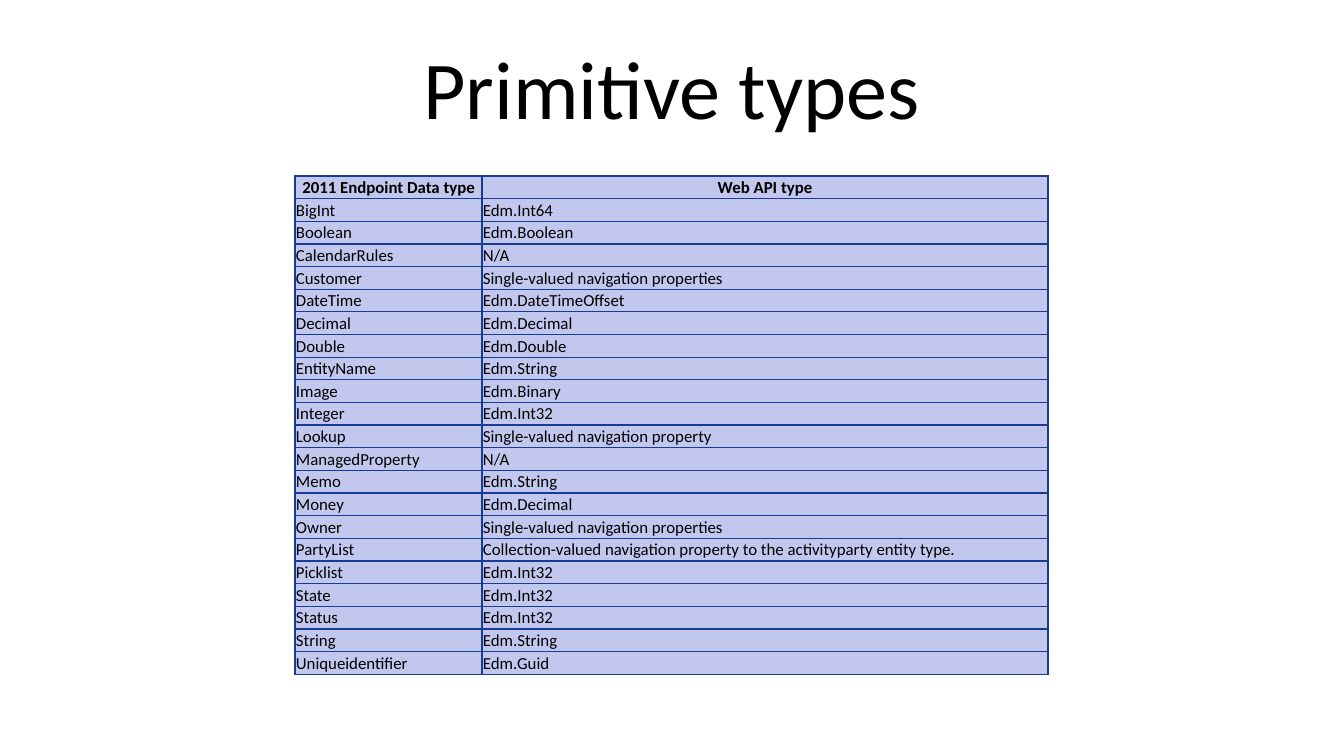
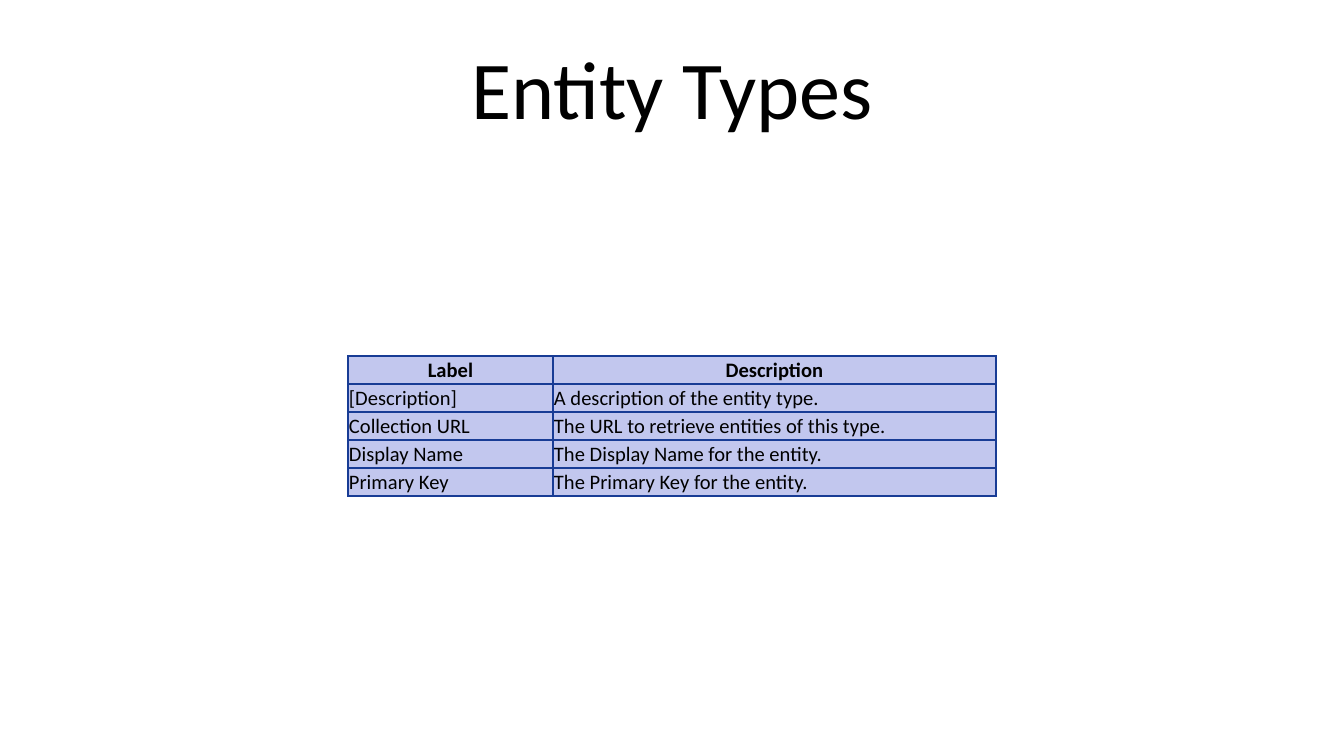
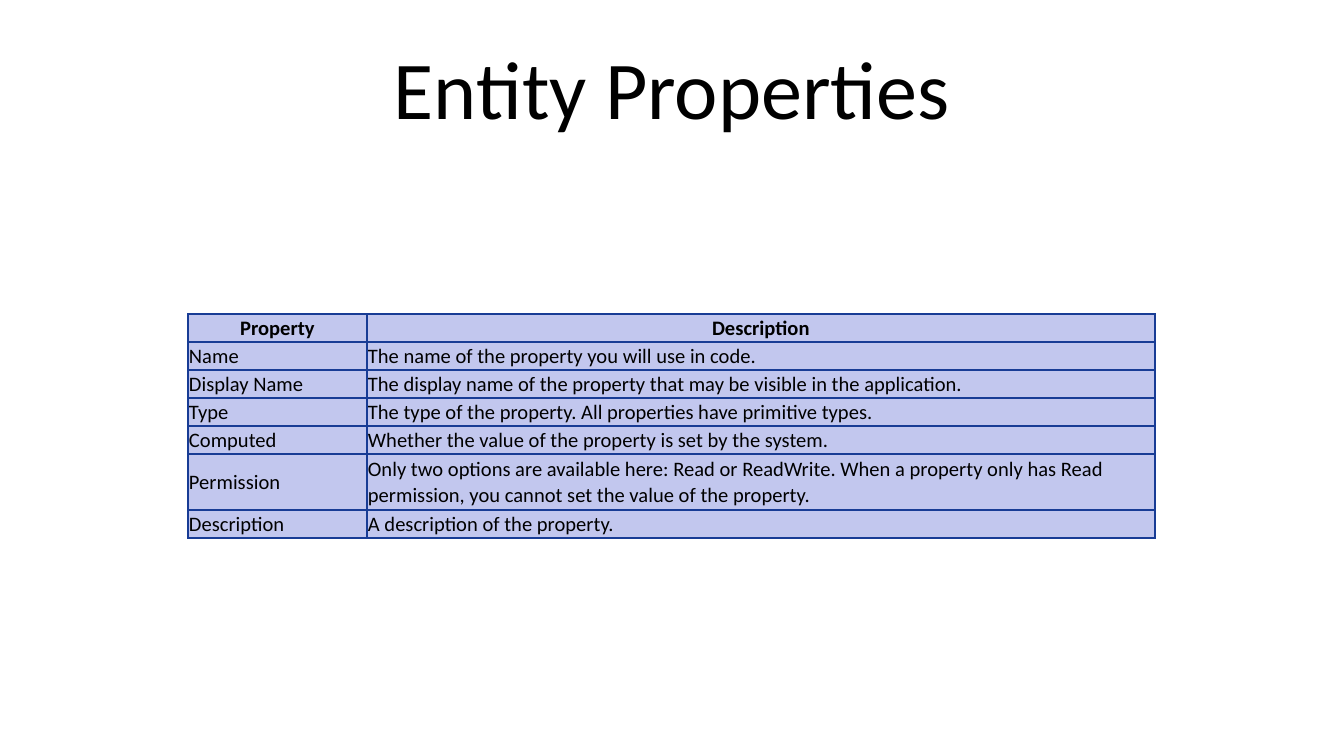
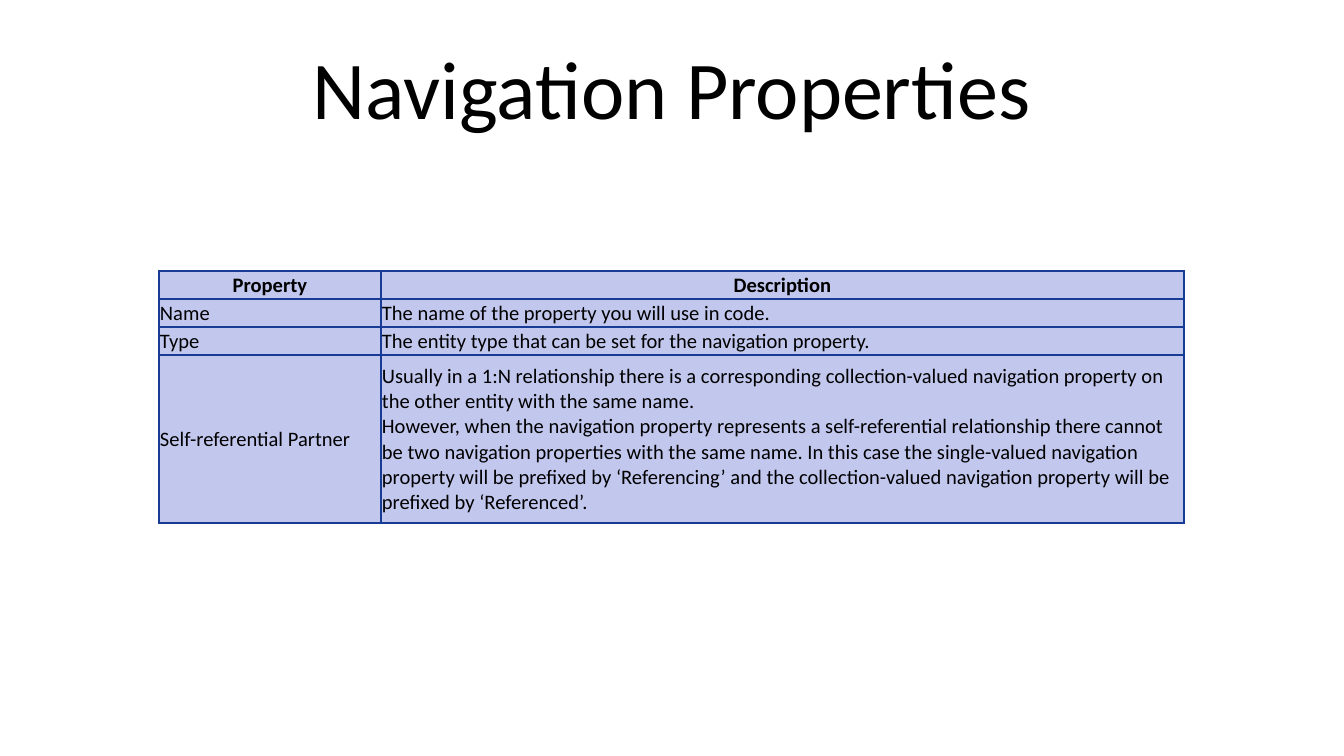
from lxml.etree import SubElement as Sub
from pptx import Presentation
from pptx.dml.color import RGBColor
from pptx.enum.text import MSO_ANCHOR as Anchor, PP_ALIGN as Align
from pptx.oxml.ns import qn
from pptx.util import Pt

SCALE = 914400 / 134.4
WIDE, HIGH = 1344, 756
FONT = "Calibri"
INK = RGBColor(0x00, 0x00, 0x00)
FILL = RGBColor(0xC2, 0xC7, 0xEE)
EDGE = RGBColor(0x18, 0x3C, 0x95)
TITLE_BOX = (67, 24, 1210, 126)

TYPES = [
    ("2011 Endpoint Data type", "Web API type"),
    ("BigInt", "Edm.Int64"),
    ("Boolean", "Edm.Boolean"),
    ("CalendarRules", "N/A"),
    ("Customer", "Single-valued navigation properties"),
    ("DateTime", "Edm.DateTimeOffset"),
    ("Decimal", "Edm.Decimal"),
    ("Double", "Edm.Double"),
    ("EntityName", "Edm.String"),
    ("Image", "Edm.Binary"),
    ("Integer", "Edm.Int32"),
    ("Lookup", "Single-valued navigation property"),
    ("ManagedProperty", "N/A"),
    ("Memo", "Edm.String"),
    ("Money", "Edm.Decimal"),
    ("Owner", "Single-valued navigation properties"),
    ("PartyList", "Collection-valued navigation property to the "
                  "activityparty entity type."),
    ("Picklist", "Edm.Int32"),
    ("State", "Edm.Int32"),
    ("Status", "Edm.Int32"),
    ("String", "Edm.String"),
    ("Uniqueidentifier", "Edm.Guid"),
]
LABELS = [
    ("Label", "Description"),
    ("[Description]", "A description of the entity type."),
    ("Collection URL", "The URL to retrieve entities of this type."),
    ("Display Name", "The Display Name for the entity."),
    ("Primary Key", "The Primary Key for the entity."),
]
HEAD = ("Property", "Description")
NAME = ("Name", "The name of the property you will use in code.")
PROPS = [
    HEAD,
    NAME,
    ("Display Name", "The display name of the property that may be visible "
                     "in the application."),
    ("Type", "The type of the property. All properties have primitive types."),
    ("Computed", "Whether the value of the property is set by the system."),
    ("Permission", "Only two options are available here: Read or ReadWrite. "
                   "When a property only has Read permission, you cannot set "
                   "the value of the property."),
    ("Description", "A description of the property."),
]
LINKS = [
    HEAD,
    NAME,
    ("Type", "The entity type that can be set for the navigation property."),
    ("Self-referential Partner",
     "Usually in a 1:N relationship there is a corresponding "
     "collection-valued navigation property on the other entity with the "
     "same name.\n"
     "However, when the navigation property represents a self-referential "
     "relationship there cannot be two navigation properties with the same "
     "name. In this case the single-valued navigation property will be "
     "prefixed by ‘Referencing’ and the collection-valued navigation "
     "property will be prefixed by ‘Referenced’."),
]


def px(n):
    return round(n * SCALE)


def style(par, size, bold, align):
    par.alignment = align
    for run in par.runs:
        font = run.font
        font.name, font.size, font.bold = FONT, Pt(size), bold
        font.color.rgb = INK


def add_title(slide, text):
    title = slide.shapes.title
    title.left, title.top, title.width, title.height = map(px, TITLE_BOX)
    frame = title.text_frame
    frame.text = text
    frame.vertical_anchor = Anchor.MIDDLE
    style(frame.paragraphs[0], 44, False, Align.CENTER)


def add_edges(cell):
    """Draw the four borders; they must come before the fill in the XML."""
    props = cell._tc.get_or_add_tcPr()
    for tag in ("a:lnL", "a:lnR", "a:lnT", "a:lnB"):
        line = Sub(props, qn(tag), w=str(Pt(0.75)))
        solid = Sub(line, qn("a:solidFill"))
        Sub(solid, qn("a:srgbClr"), val=str(EDGE))


def fill_cell(cell, text, size, head):
    cell.text = text
    cell.vertical_anchor = Anchor.MIDDLE
    cell.margin_left = cell.margin_right = cell.margin_top = px(1)
    cell.margin_bottom = 0
    for par in cell.text_frame.paragraphs:
        style(par, size, head, Align.CENTER if head else Align.LEFT)
    add_edges(cell)
    cell.fill.solid()
    cell.fill.fore_color.rgb = FILL


def add_grid(slide, box, first, rows, size, tall):
    """Fill the box with rows; tall maps a row to its height in plain rows."""
    left, top, width, height = box
    grid = slide.shapes.add_table(len(rows), 2, *map(px, box)).table
    grid.horz_banding = False
    for col, wide in zip(grid.columns, (first, width - first)):
        col.width = px(wide)
    spans = [tall.get(i, 1) for i in range(len(rows))]
    unit = height / sum(spans)
    for i, (texts, span) in enumerate(zip(rows, spans)):
        grid.rows[i].height = px(unit * span)
        for j, text in enumerate(texts):
            fill_cell(grid.cell(i, j), text, size, i == 0)


def add_page(deck, title, box, first, rows, size=11, tall={}):
    slide = deck.slides.add_slide(deck.slide_layouts[5])
    add_title(slide, title)
    add_grid(slide, box, first, rows, size, tall)


def main():
    deck = Presentation()
    deck.slide_width, deck.slide_height = px(WIDE), px(HIGH)
    add_page(deck, "Primitive types", (295, 176, 753, 499), 187, TYPES, size=9)
    add_page(deck, "Entity Types", (348, 356, 648, 140), 205, LABELS)
    add_page(deck, "Entity Properties", (188, 314, 967, 224), 179, PROPS,
             tall={5: 2})
    add_page(deck, "Navigation Properties", (159, 271, 1025, 252), 222, LINKS,
             tall={3: 6})
    deck.save("out.pptx")


if __name__ == "__main__":
    main()
